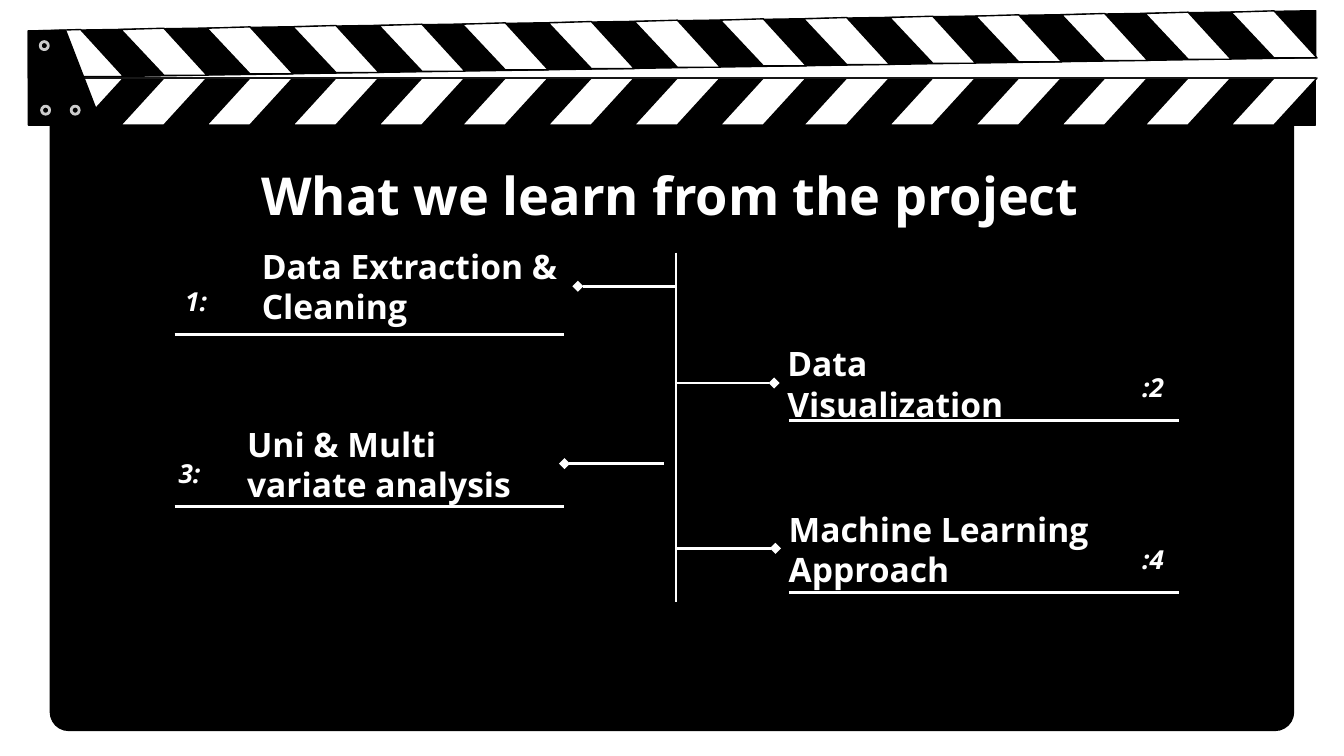
"""Build a clapperboard slide listing four lessons from a project."""
from lxml.etree import SubElement
from pptx import Presentation
from pptx.dml.color import RGBColor
from pptx.enum.shapes import MSO_CONNECTOR, MSO_SHAPE
from pptx.enum.text import MSO_ANCHOR, PP_ALIGN
from pptx.oxml.ns import qn
from pptx.util import Inches, Pt

LINE = MSO_CONNECTOR.STRAIGHT
ROUND, OVAL = MSO_SHAPE.ROUNDED_RECTANGLE, MSO_SHAPE.OVAL
TOP, MIDDLE = MSO_ANCHOR.TOP, MSO_ANCHOR.MIDDLE
LEFT, CENTER, RIGHT = PP_ALIGN.LEFT, PP_ALIGN.CENTER, PP_ALIGN.RIGHT

COLORS = {"black": "000000", "white": "FFFFFF", "seam": "171717", "rivet": "CCCCCC"}
FONT = "Open Sans"

TITLE = "What we learn from the project"
LESSONS = [
    {"text": "Data Extraction & Cleaning", "box": (1.85, 1.96, 2.45, 0.34),
     "mark": "1:", "spot": (1.28, 2.02), "arm": (4.3, 5.04, 2.13)},
    {"text": "Data Visualization", "box": (5.76, 2.58, 2.11, 0.55),
     "mark": ":2", "spot": (7.81, 2.66), "arm": (5.76, 5.04, 2.85)},
    {"text": "Uni & Multi variate analysis", "box": (1.74, 3.22, 2.45, 0.47),
     "mark": "3:", "spot": (1.23, 3.3), "arm": (4.2, 4.94, 3.45)},
    {"text": "Machine Learning Approach", "box": (5.77, 3.77, 3.11, 0.63),
     "mark": ":4", "spot": (7.81, 3.94), "arm": (5.77, 5.04, 4.08)},
]
RULE_X = {LEFT: 1.3, RIGHT: 5.87}
RULE_W, RULE_GAP = 2.9, 0.47
SPINE = (5.03, 1.88, 5.03, 4.48)

LOWER = [(0.21, 0.58), (0.21, 0.93), (9.79, 0.93), (9.79, 0.58)]
UPPER = [(9.79, 0.08), (0.21, 0.23), (0.21, 0.58), (9.79, 0.43)]
HINGE = [(0.21, 0.23), (0.21, 0.93), (0.76, 0.93), (0.49, 0.23)]
RIVETS = [(0.3, 0.31), (0.31, 0.79), (0.53, 0.79)]
STRIPES = [0.9 + 2.54 * (i // 4) + 0.64 * (i % 4) for i in range(-1, 14)]
SLOPE = 0.15 / 9.58


def rgb(name):
    return RGBColor.from_string(COLORS[name])


def paint(shape, fill, line, width):
    shape.shadow.inherit = False
    shape.fill.solid()
    shape.fill.fore_color.rgb = rgb(fill)
    shape.line.color.rgb = rgb(line)
    shape.line.width = Pt(width)


def add_poly(shapes, points, fill):
    start, *rest = [(Inches(x), Inches(y)) for x, y in points]
    maker = shapes.build_freeform(*start)
    maker.add_line_segments(rest, close=True)
    paint(maker.convert_to_shape(), fill, "black", 0.75)


def add_line(shapes, ends, color="white", width=1.5, tip=False):
    line = shapes.add_connector(LINE, *map(Inches, ends))
    line.line.color.rgb = rgb(color)
    line.line.width = Pt(width)
    if tip:
        SubElement(line.line._get_or_add_ln(), qn("a:headEnd"), type="diamond")
    SubElement(line._element.spPr, qn("a:effectLst"))


def add_text(shapes, text, box, size, align=LEFT, anchor=MIDDLE, italic=False):
    frame = shapes.add_textbox(*map(Inches, box)).text_frame
    frame.word_wrap = True
    frame.vertical_anchor = anchor
    frame.margin_left = frame.margin_right = Inches(0.1)
    frame.margin_top = frame.margin_bottom = Inches(0.1)
    para = frame.paragraphs[0]
    para.text = text
    para.alignment = align
    font = para.font
    font.name, font.size = FONT, Pt(size)
    font.bold, font.italic = True, italic
    font.color.rgb = rgb("white")


def draw_board(shapes):
    board = shapes.add_shape(ROUND, *map(Inches, (0.37, 0.72, 9.26, 4.72)))
    board.adjustments[0] = 0.03
    paint(board, "black", "black", 0.75)
    board.line.fill.background()

    add_poly(shapes, LOWER, "black")
    for x in STRIPES:
        add_poly(shapes, [(x + 0.32, 0.58), (x, 0.93), (x + 0.32, 0.93), (x + 0.64, 0.58)], "white")

    add_poly(shapes, UPPER, "black")
    for x in STRIPES:
        y = 0.21 - (x - 0.9) * SLOPE
        add_poly(shapes, [(x + 0.32, y), (x, y + 0.01), (x + 0.32, y + 0.35), (x + 0.64, y + 0.35)], "white")

    add_line(shapes, (0.21, 0.58, 9.79, 0.58), "seam", 0.75)
    add_poly(shapes, HINGE, "black")
    for x, y in RIVETS:
        paint(shapes.add_shape(OVAL, *map(Inches, (x, y, 0.06, 0.06))), "black", "rivet", 1.5)


def draw_lessons(shapes):
    add_line(shapes, SPINE)
    for item in LESSONS:
        x, y = item["spot"]
        side = LEFT if x < SPINE[0] else RIGHT
        add_text(shapes, item["text"], item["box"], 18)
        add_text(shapes, item["mark"], (x, y, 0.95, 0.29), 14, side, TOP, True)
        tip, root, mid = item["arm"]
        add_line(shapes, (tip, mid, root, mid), tip=True)
        start, base = RULE_X[side], y + RULE_GAP
        add_line(shapes, (start, base, start + RULE_W, base))


def main():
    deck = Presentation()
    deck.slide_width = Inches(10)
    deck.slide_height = deck.slide_width * 9 // 16
    shapes = deck.slides.add_slide(deck.slide_layouts[6]).shapes
    draw_board(shapes)
    add_text(shapes, TITLE, (0.77, 1.13, 8.43, 0.63), 28, CENTER)
    draw_lessons(shapes)
    deck.save("out.pptx")


if __name__ == "__main__":
    main()
